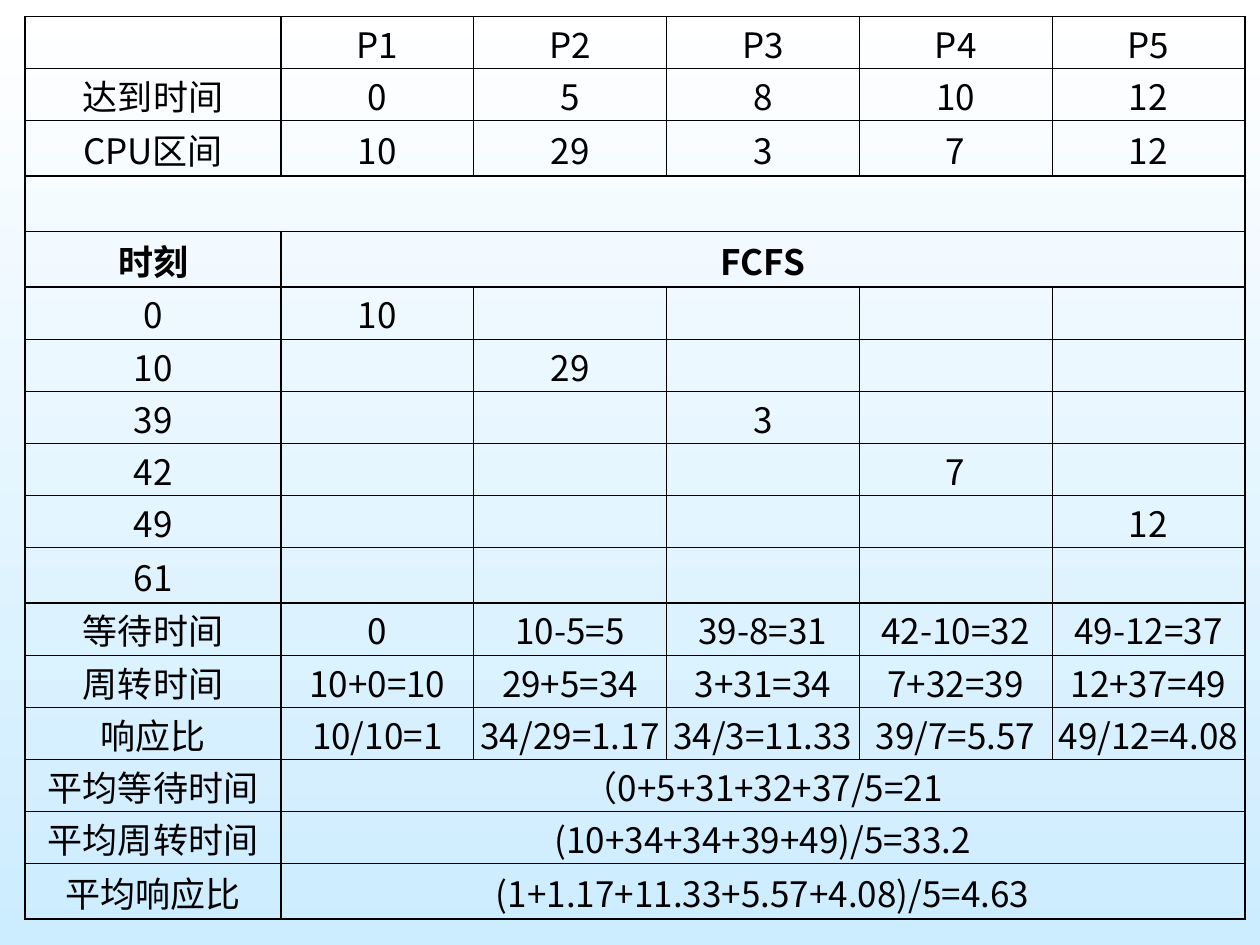
from lxml.etree import SubElement
from pptx import Presentation
from pptx.dml.color import RGBColor
from pptx.enum.text import MSO_ANCHOR, PP_ALIGN
from pptx.oxml.ns import qn
from pptx.util import Inches, Pt

COLORS = {"ink": "000000", "sky_top": "FFFFFF", "sky_bottom": "CCECFF"}
FONT = "Noto Sans CJK SC"
TEXT_SIZE = 20

# A row with fewer than six values lets its last value span the remaining columns.
SCHEDULE = [
    ["", "P1", "P2", "P3", "P4", "P5"],
    ["达到时间", "0", "5", "8", "10", "12"],
    ["CPU区间", "10", "29", "3", "7", "12"],
    [""],
    ["时刻", "FCFS"],
    ["0", "10", "", "", "", ""],
    ["10", "", "29", "", "", ""],
    ["39", "", "", "3", "", ""],
    ["42", "", "", "", "7", ""],
    ["49", "", "", "", "", "12"],
    ["61", "", "", "", "", ""],
    ["等待时间", "0", "10-5=5", "39-8=31", "42-10=32", "49-12=37"],
    ["周转时间", "10+0=10", "29+5=34", "3+31=34", "7+32=39", "12+37=49"],
    ["响应比", "10/10=1", "34/29=1.17", "34/3=11.33", "39/7=5.57", "49/12=4.08"],
    ["平均等待时间", "（0+5+31+32+37/5=21"],
    ["平均周转时间", "(10+34+34+39+49)/5=33.2"],
    ["平均响应比", "(1+1.17+11.33+5.57+4.08)/5=4.63"],
]
HEADING_ROW = 4
TALL_ROWS = {2, 3, 4, 10, 16}
HEAVY_ROW_EDGES = {0, 3, 4, 5, 11, 17}
HEAVY_COLUMN_EDGES = {0, 1, 6}
COLUMN_WIDTHS = [2.03] + [1.53] * 5
TABLE_HEIGHT, TALL_HEIGHT = 7.17, 0.44
SHORT_HEIGHT = (TABLE_HEIGHT - TALL_HEIGHT * len(TALL_ROWS)) / (len(SCHEDULE) - len(TALL_ROWS))


def write(frame, text, size=TEXT_SIZE, bold=False, color="ink", align=PP_ALIGN.CENTER):
    paragraph = frame.paragraphs[0]
    paragraph.alignment = align
    if not text:
        # The end mark keeps an empty cell from stretching its row.
        SubElement(paragraph._p, qn("a:endParaRPr"), sz=str(size * 100))
        return
    run = paragraph.add_run()
    run.text = text
    run.font.name = FONT
    run.font.size = Pt(size)
    run.font.bold = bold
    run.font.color.rgb = RGBColor.from_string(COLORS[color])
    SubElement(run._r.get_or_add_rPr(), qn("a:ea"), typeface=FONT)


class SlideBuilder:
    def __init__(self, slide):
        self.slide = slide

    def background(self):
        fill = self.slide.background.fill
        fill.gradient()
        fill.gradient_angle = 270
        for stop, name, position in zip(fill.gradient_stops, ("sky_top", "sky_bottom"), (0, 1)):
            stop.color.rgb = RGBColor.from_string(COLORS[name])
            stop.position = position

    def borders(self, cell, row, first, last):
        """Draw the four edges of a cell that covers columns first to last."""
        heavy = {
            "L": first in HEAVY_COLUMN_EDGES,
            "R": last + 1 in HEAVY_COLUMN_EDGES,
            "T": row in HEAVY_ROW_EDGES,
            "B": row + 1 in HEAVY_ROW_EDGES,
        }
        properties = cell._tc.get_or_add_tcPr()
        for side, is_heavy in heavy.items():
            line = SubElement(properties, qn(f"a:ln{side}"), w=str(Pt(1 if is_heavy else 0.5)))
            SubElement(SubElement(line, qn("a:solidFill")), qn("a:srgbClr"), val=COLORS["ink"])

    def cell(self, table, row, first, last, text):
        cell = table.cell(row, first)
        if last > first:
            cell.merge(table.cell(row, last))
        cell.margin_left = cell.margin_right = cell.margin_top = Inches(0.01)
        cell.margin_bottom = 0
        cell.vertical_anchor = MSO_ANCHOR.MIDDLE
        self.borders(cell, row, first, last)
        cell.fill.background()
        write(cell.text_frame, text, bold=row == HEADING_ROW)

    def schedule(self, left, top):
        table = self.slide.shapes.add_table(
            len(SCHEDULE), len(COLUMN_WIDTHS), Inches(left), Inches(top),
            Inches(sum(COLUMN_WIDTHS)), Inches(TABLE_HEIGHT)).table
        table.first_row = table.horz_banding = False
        for column, width in zip(table.columns, COLUMN_WIDTHS):
            column.width = Inches(width)
        for row, values in enumerate(SCHEDULE):
            table.rows[row].height = Inches(TALL_HEIGHT if row in TALL_ROWS else SHORT_HEIGHT)
            for first, text in enumerate(values):
                is_final = first == len(values) - 1
                last = len(COLUMN_WIDTHS) - 1 if is_final else first
                self.cell(table, row, first, last, text)


def main():
    deck = Presentation()
    deck.slide_width, deck.slide_height = Inches(10), Inches(7.5)
    builder = SlideBuilder(deck.slides.add_slide(deck.slide_layouts[6]))
    builder.background()
    builder.schedule(left=0.2, top=0.13)
    deck.save("out.pptx")


if __name__ == "__main__":
    main()
